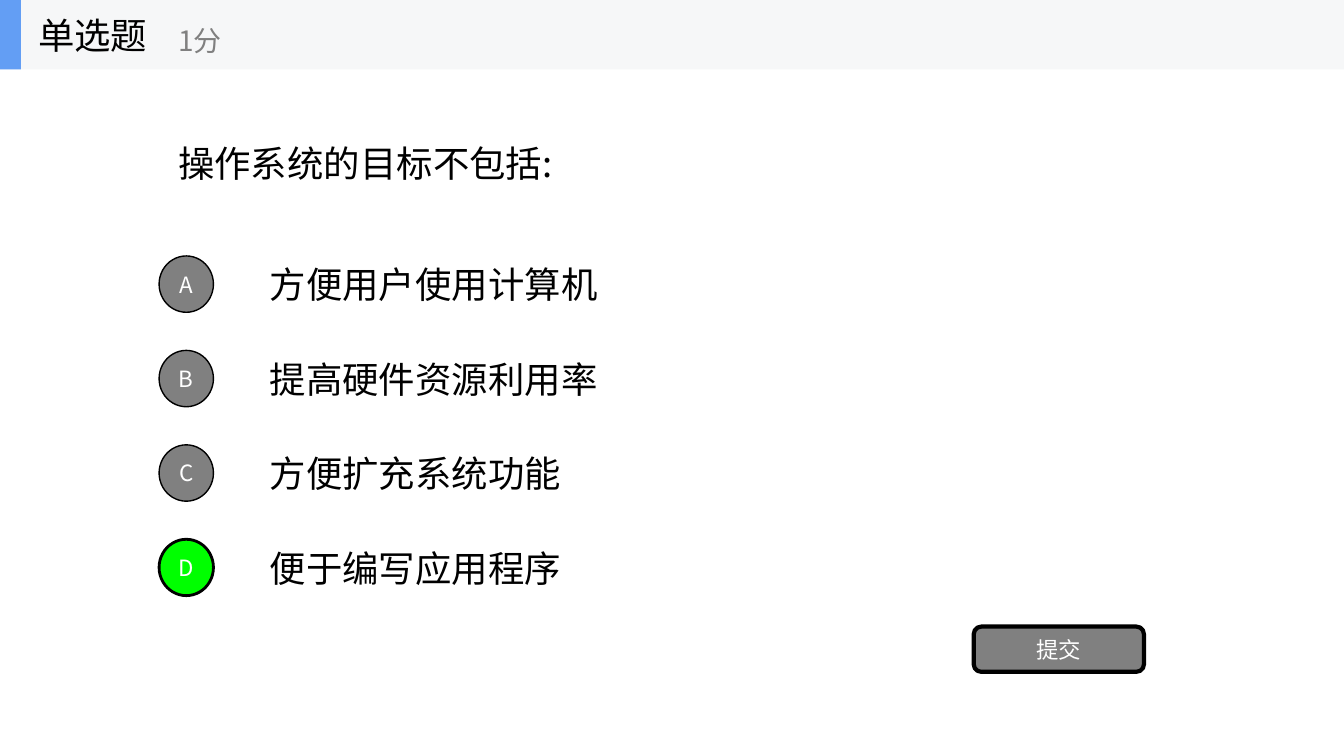
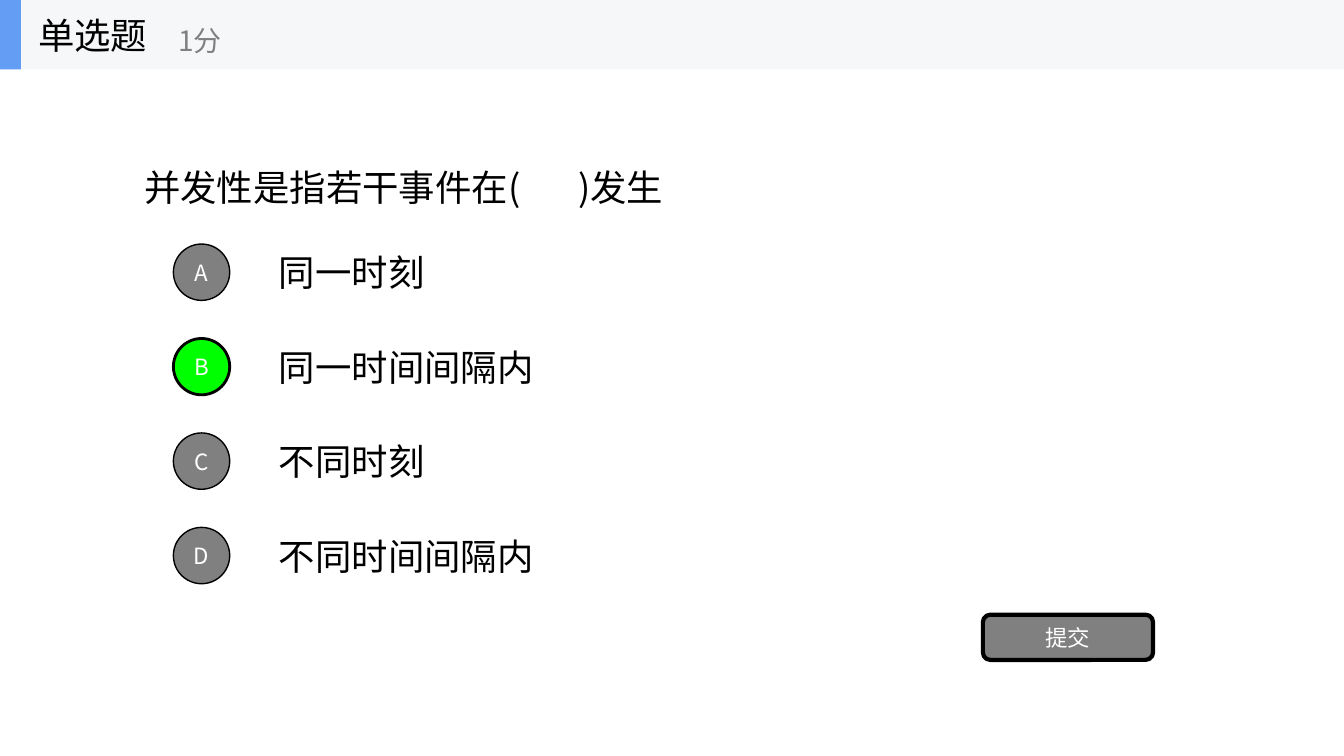
"""Build two single-choice quiz slides."""
from dataclasses import dataclass

from lxml import etree
from pptx import Presentation
from pptx.dml.color import RGBColor
from pptx.enum.shapes import MSO_SHAPE
from pptx.enum.text import MSO_ANCHOR, MSO_AUTO_SIZE, PP_ALIGN
from pptx.oxml.ns import qn
from pptx.util import Cm, Pt

RECT = MSO_SHAPE.RECTANGLE
OVAL = MSO_SHAPE.OVAL
ROUND = MSO_SHAPE.ROUNDED_RECTANGLE
MID = MSO_ANCHOR.MIDDLE
LEFT, CENTER = PP_ALIGN.LEFT, PP_ALIGN.CENTER
FIXED = MSO_AUTO_SIZE.NONE


@dataclass(frozen=True)
class Theme:
    """Colours, font and type sizes of the quiz."""

    font: str = "Noto Sans CJK SC"
    ink: str = "000000"
    paper: str = "FFFFFF"
    grey: str = "808080"
    right: str = "00FF00"
    band: str = "F6F7F8"
    mark: str = "639EF4"
    body: int = 26
    note: int = 20
    label: int = 16


THEME = Theme()
WIDE, HIGH = 33.87, 19.05
BAR = 1.75
ROW, STEP = 1.78, 2.38
DISC = 1.42

QUIZ = [
    dict(
        ask="操作系统的目标不包括:", spot=(4.24, 2.95, 27.1, 2.31), tab=None,
        picks=["方便用户使用计算机", "提高硬件资源利用率", "方便扩充系统功能", "便于编写应用程序"],
        key="D", top=6.27, text=(6.55, 20.75), disc=(4.01, 1.37), send=24.54,
    ),
    dict(
        ask="并发性是指若干事件在(\t)发生", spot=(3.38, 1.75, 27.1, 5.94), tab=10.94,
        picks=["同一时刻", "同一时间间隔内", "不同时刻", "不同时间间隔内"],
        key="B", top=5.97, text=(6.78, 23.7), disc=(4.37, DISC), send=24.77,
    ),
]


def color(code):
    """Turn a hex code into a colour."""
    return RGBColor.from_string(code)


def write(shape, text, size=THEME.body, ink=THEME.ink, align=LEFT, tab=None, pad=0.25):
    """Put formatted text into a shape."""
    frame = shape.text_frame
    frame.word_wrap = True
    frame.auto_size = FIXED
    frame.vertical_anchor = MID
    frame.margin_left = frame.margin_right = Cm(pad)
    para = frame.paragraphs[0]
    para.alignment = align
    if tab:
        tabs = etree.SubElement(para._p.get_or_add_pPr(), qn("a:tabLst"))
        etree.SubElement(tabs, qn("a:tab"), pos=str(Cm(tab)), algn="l")
    run = para.add_run()
    run.text = text
    run.font.size = Pt(size)
    run.font.bold = False
    run.font.color.rgb = color(ink)
    run.font.name = THEME.font
    etree.SubElement(run._r.get_or_add_rPr(), qn("a:ea"), typeface=THEME.font)


class Deck:
    """Hold the style and the current slide."""

    def __init__(self, theme):
        """Start an empty wide deck."""
        self.theme = theme
        self.file = Presentation()
        self.file.slide_width, self.file.slide_height = Cm(WIDE), Cm(HIGH)
        self.slide = None

    def page(self):
        """Add a slide with the title-only layout."""
        self.slide = self.file.slides.add_slide(self.file.slide_layouts[5])

    def title(self, text, spot, tab):
        """Place the question in the title."""
        shape = self.slide.shapes.title
        shape.left, shape.top, shape.width, shape.height = map(Cm, spot)
        write(shape, text, tab=tab)

    def text(self, text, spot, **form):
        """Add a text box."""
        write(self.slide.shapes.add_textbox(*map(Cm, spot)), text, **form)

    def shape(self, kind, spot, fill, line=0):
        """Add a filled shape, outlined if a line width is given."""
        shape = self.slide.shapes.add_shape(kind, *map(Cm, spot))
        shape.shadow.inherit = False
        shape.fill.solid()
        shape.fill.fore_color.rgb = color(fill)
        if line:
            shape.line.color.rgb = color(self.theme.ink)
            shape.line.width = Pt(line)
        else:
            shape.line.fill.background()
        return shape

    def button(self, kind, text, spot, fill, line):
        """Add a shape with a centred white label."""
        shape = self.shape(kind, spot, fill, line)
        write(shape, text, size=self.theme.label, ink=self.theme.paper, align=CENTER, pad=0)

    def header(self):
        """Draw the band with question type and points."""
        look = self.theme
        self.shape(RECT, (0, 0, WIDE, BAR), look.band)
        self.shape(RECT, (0, 0, 0.53, BAR), look.mark)
        self.text("单选题", (0.71, 0, 5.28, BAR))
        self.text("1分", (4.24, 0.3, 6.35, 1.42), size=look.note, ink=look.grey)

    def choice(self, name, text, top, box, disc, hit):
        """Add one answer row with its lettered disc."""
        self.text(text, (box[0], top, box[1], ROW))
        spot = (disc[0], top + (ROW - DISC) / 2, disc[1], DISC)
        fill, line = (self.theme.right, 2) if hit else (self.theme.grey, 1)
        self.button(OVAL, name, spot, fill, line)


def main():
    """Build and save the quiz."""
    deck = Deck(THEME)
    for quiz in QUIZ:
        deck.page()
        deck.title(quiz["ask"], quiz["spot"], quiz["tab"])
        top = quiz["top"]
        for row, (name, text) in enumerate(zip("ABCD", quiz["picks"])):
            deck.choice(name, text, top + row * STEP, quiz["text"], quiz["disc"], name == quiz["key"])
        deck.button(ROUND, "提交", (quiz["send"], top + 4 * STEP, 4.29, 1.14), THEME.grey, 3)
        deck.header()
    deck.file.save("out.pptx")


if __name__ == "__main__":
    main()
